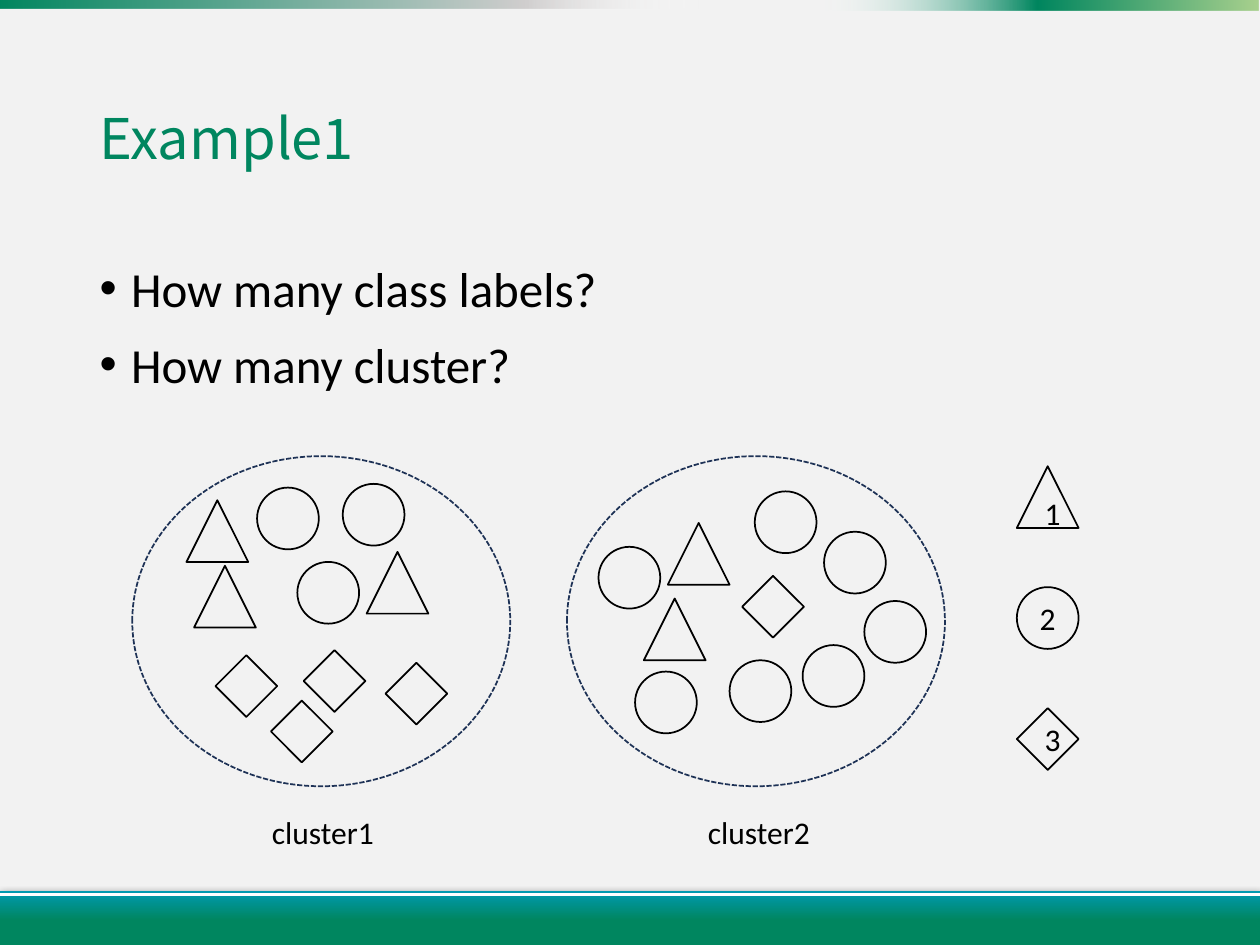
from lxml import etree
from pptx import Presentation, util as u
from pptx.dml import color
from pptx.enum import dml, shapes, text
from pptx.oxml import ns

COLORS = {"background": "F2F2F2", "green": "00865F", "teal": "009AB3", "lime": "A9D18E",
          "gray": "D0CECE", "white": "FFFFFF", "black": "000000", "navy": "1E3256"}
FORMATS = {
    "title": {"name": "Noto Sans CJK TC", "size": u.Pt(32), "color": "green"},
    "body": {"name": "Calibri", "size": u.Pt(28), "color": "black"},
    "label": {"name": "Calibri", "size": u.Pt(18), "color": "black"},
}
KINDS = {
    "triangle": shapes.MSO_SHAPE.ISOSCELES_TRIANGLE,
    "circle": shapes.MSO_SHAPE.OVAL,
    "diamond": shapes.MSO_SHAPE.DIAMOND,
}
MEMBERS = {
    "triangle": [(1.48, 3.97), (1.54, 4.49), (2.91, 4.38), (5.3, 4.15), (5.11, 4.75)],
    "diamond": [(1.71, 5.2), (2.15, 5.56), (2.41, 5.16), (3.06, 5.26), (5.89, 4.57)],
    "circle": [(2.36, 4.46), (2.72, 3.84), (2.04, 3.87), (5.99, 3.9), (6.54, 4.22),
               (6.86, 4.77), (5.04, 5.33), (4.75, 4.34), (6.37, 5.12), (5.79, 5.24)],
}
CLUSTERS = [("cluster1", 1.05, 2.06), ("cluster2", 4.5, 5.52)]
MEMBER_SIZE = 0.49


def rgb(name):
    return color.RGBColor.from_string(COLORS[name])


def add_element(parent, tag, **attributes):
    return etree.SubElement(parent, ns.qn(tag), {key: str(value) for key, value in attributes.items()})


class SlideBuilder:
    def __init__(self, slide):
        self.slide = slide
        fill = slide.background.fill
        fill.solid()
        fill.fore_color.rgb = rgb("background")

    def format_text(self, paragraph, style):
        for key, value in FORMATS[style].items():
            if key == "color":
                paragraph.font.color.rgb = rgb(value)
            else:
                setattr(paragraph.font, key, value)

    def place(self, shape, box):
        for key, value in zip(("left", "top", "width", "height"), box):
            setattr(shape, key, u.Inches(value))

    def title(self, content, box):
        shape = self.slide.shapes.title
        self.place(shape, box)
        frame = shape.text_frame
        frame.text = content
        frame.auto_size = text.MSO_AUTO_SIZE.NONE
        frame.vertical_anchor = text.MSO_ANCHOR.MIDDLE
        paragraph = frame.paragraphs[0]
        paragraph.alignment = text.PP_ALIGN.LEFT
        paragraph.line_spacing = 0.9
        self.format_text(paragraph, "title")

    def bullets(self, lines, box):
        shape = self.slide.placeholders[1]
        self.place(shape, box)
        frame = shape.text_frame
        frame.text = "\n".join(lines)
        frame.auto_size = text.MSO_AUTO_SIZE.NONE
        for index, paragraph in enumerate(frame.paragraphs):
            properties = paragraph._p.get_or_add_pPr()
            properties.set("marL", str(u.Inches(0.25)))
            properties.set("indent", str(-u.Inches(0.25)))
            add_element(properties, "a:buChar", char="•")
            paragraph.space_before = u.Pt(10 if index else 0)
            self.format_text(paragraph, "body")

    def outline(self, kind, box, line="black", dash=None, content=None):
        shape = self.slide.shapes.add_shape(KINDS[kind], *map(u.Inches, box))
        shape.shadow.inherit = False
        shape.fill.background()
        shape.line.color.rgb = rgb(line)
        shape.line.width = u.Pt(1)
        if dash:
            shape.line.dash_style = dash
        if content:
            frame = shape.text_frame
            frame.text = content
            frame.vertical_anchor = text.MSO_ANCHOR.MIDDLE
            frame.paragraphs[0].alignment = text.PP_ALIGN.CENTER
            self.format_text(frame.paragraphs[0], "label")

    def band(self, box, stops, angle=0, shadow=False):
        shape = self.slide.shapes.add_shape(shapes.MSO_SHAPE.RECTANGLE, *map(u.Inches, box))
        shape.shadow.inherit = False
        shape.fill.background()
        shape.line.fill.background()
        properties = shape._element.spPr
        empty_fill = properties.find(ns.qn("a:noFill"))
        gradient = etree.Element(ns.qn("a:gradFill"), rotWithShape="1")
        stop_list = add_element(gradient, "a:gsLst")
        for position, name, alpha in stops:
            stop = add_element(stop_list, "a:gs", pos=position * 1000)
            stop_color = add_element(stop, "a:srgbClr", val=COLORS[name])
            if alpha < 100:
                add_element(stop_color, "a:alpha", val=alpha * 1000)
        add_element(gradient, "a:lin", ang=angle * 60000, scaled=0)
        properties.replace(empty_fill, gradient)
        if shadow:
            effects = properties.find(ns.qn("a:effectLst"))
            outer = add_element(effects, "a:outerShdw", blurRad=u.Pt(4.5), dist=u.Pt(1.5),
                                dir=90 * 60000, rotWithShape=0)
            shadow_color = add_element(outer, "a:srgbClr", val=COLORS["black"])
            add_element(shadow_color, "a:alpha", val=63000)

    def rule(self, start, end):
        connector = self.slide.shapes.add_connector(
            shapes.MSO_CONNECTOR.STRAIGHT, *map(u.Inches, start + end))
        connector.line.color.rgb = rgb("white")
        connector.line.width = u.Pt(1.5)
        add_element(connector._element.spPr, "a:effectLst")

    def label(self, content, box):
        frame = self.slide.shapes.add_textbox(*map(u.Inches, box)).text_frame
        frame.word_wrap = False
        frame.auto_size = text.MSO_AUTO_SIZE.SHAPE_TO_FIT_TEXT
        frame.text = content
        self.format_text(frame.paragraphs[0], "label")


def main():
    presentation = Presentation()
    presentation.slide_width = u.Inches(10)
    presentation.slide_height = u.Inches(7.5)
    builder = SlideBuilder(presentation.slides.add_slide(presentation.slide_layouts[1]))

    builder.band((0, 7.07, 10, 0.47),
                 [(0, "teal", 100), (50, "green", 100), (100, "green", 100)], 90, shadow=True)
    builder.rule((0, 7.1), (10, 7.1))
    builder.band((6.48, 0, 3.51, 0.08),
                 [(0, "white", 0), (50, "green", 100), (100, "lime", 100)])
    builder.band((-0.02, -0.05, 5.56, 0.12),
                 [(0, "green", 100), (75, "gray", 100), (100, "white", 0)])

    builder.title("Example1", (0.69, 0.4, 8.62, 1.45))
    builder.bullets(["How many class labels?", "How many cluster?"], (0.69, 2, 8.62, 1.26))

    for kind, positions in MEMBERS.items():
        for left, top in positions:
            builder.outline(kind, (left, top, MEMBER_SIZE, MEMBER_SIZE))
    for name, left, label_left in CLUSTERS:
        builder.outline("circle", (left, 3.62, 3, 2.62), "navy", dml.MSO_LINE.SQUARE_DOT)
        builder.label(name, (label_left, 6.4, 1.02, 0.4))
    for index, kind in enumerate(KINDS):
        builder.outline(kind, (8.07, 3.7 + index * 0.96, MEMBER_SIZE, MEMBER_SIZE),
                        content=str(index + 1))

    presentation.save("out.pptx")


if __name__ == "__main__":
    main()
